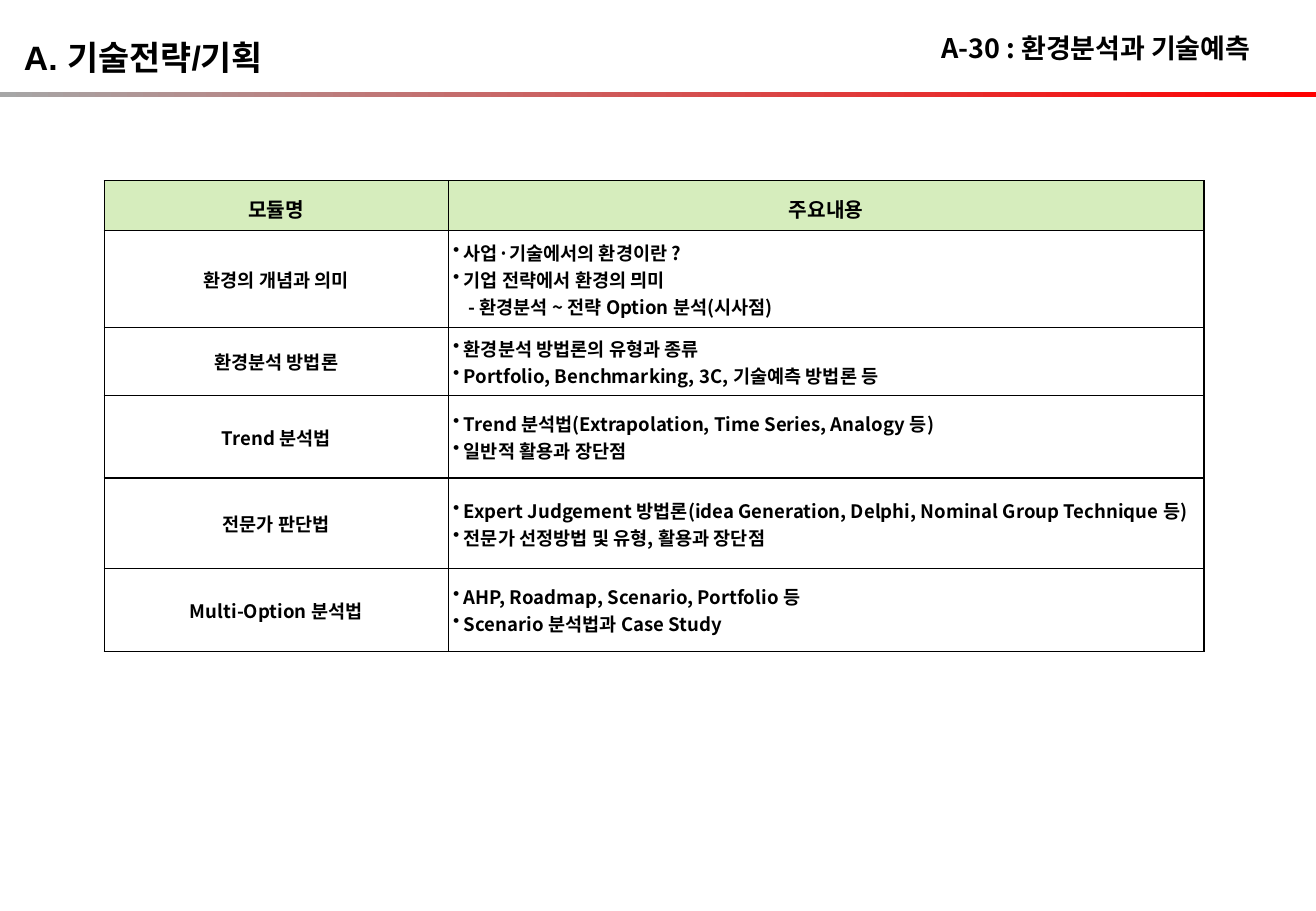
from lxml import etree
from pptx import Presentation
from pptx import util as u
from pptx.dml.color import RGBColor
from pptx.enum import shapes, text
from pptx.oxml.ns import qn

HUES = {"ink": "000000", "paper": "FFFFFF", "head": "D6EDBD",
        "gray": "A6A6A6", "red": "FF0000"}
KOREAN = "Noto Sans CJK KR"
LEFT, MID, RIGHT = (text.PP_ALIGN.LEFT, text.PP_ALIGN.CENTER,
                    text.PP_ALIGN.RIGHT)
SUB = "- "  # marks an indented line without a bullet
HEADS = ["모듈명", "주요내용"]
MODULES = [
    ("환경의 개념과 의미", [
        "사업·기술에서의 환경이란 ?",
        "기업 전략에서 환경의 믜미",
        "- 환경분석 ~ 전략 Option 분석(시사점)"]),
    ("환경분석 방법론", [
        "환경분석 방법론의 유형과 종류",
        "Portfolio, Benchmarking, 3C, 기술예측 방법론 등"]),
    ("Trend 분석법", [
        "Trend 분석법(Extrapolation, Time Series, Analogy 등)",
        "일반적 활용과 장단점"]),
    ("전문가 판단법", [
        "Expert Judgement 방법론(idea Generation, Delphi, "
        "Nominal Group Technique 등)",
        "전문가 선정방법 및 유형, 활용과 장단점"]),
    ("Multi-Option 분석법", [
        "AHP, Roadmap, Scenario, Portfolio 등",
        "Scenario 분석법과 Case Study"]),
]
COLS = [7.19, 15.8]
ROWS = [1.04, 2.03, 1.42, 1.73, 1.47, 1.73]


def rgb(name):
    return RGBColor.from_string(HUES[name])


def write(frame, lines, size=11, font=KOREAN, align=LEFT, space=None,
          bullet=False):
    for i, line in enumerate(lines):
        para = frame.paragraphs[0] if i == 0 else frame.add_paragraph()
        para.alignment = align
        if space:
            para.line_spacing = space
        if bullet:
            props = para._p.get_or_add_pPr()
            props.set("indent", "0")
            if line.startswith(SUB):
                props.set("marL", str(u.Cm(0.32)))
                etree.SubElement(props, qn("a:buNone"))
            else:
                props.set("marL", "0")
                etree.SubElement(props, qn("a:buChar"), char="•")
                line = " " + line
        run = para.add_run()
        run.text = line
        run.font.size = u.Pt(size)
        run.font.bold = True
        run.font.color.rgb = rgb("ink")
        run.font.name = font
        etree.SubElement(run._r.get_or_add_rPr(), qn("a:ea"),
                         typeface=KOREAN)


def frame_cell(cell):
    """Draw a thin line on all four sides of a cell."""
    props = cell._tc.get_or_add_tcPr()
    for i, side in enumerate("LRTB"):
        line = etree.Element(qn("a:ln" + side), w=str(u.Pt(1)))
        fill = etree.SubElement(line, qn("a:solidFill"))
        etree.SubElement(fill, qn("a:srgbClr"), val=HUES["ink"])
        props.insert(i, line)


class Deck:
    def __init__(self, wide, high):
        self.show = Presentation()
        self.show.slide_width = u.Cm(wide)
        self.show.slide_height = u.Cm(high)
        self.slide = self.show.slides.add_slide(self.show.slide_layouts[6])

    def bar(self, x, y, w, h):
        rule = self.slide.shapes.add_shape(
            shapes.MSO_SHAPE.RECTANGLE, u.Cm(x), u.Cm(y), u.Cm(w), u.Cm(h))
        rule.shadow.inherit = False
        rule.line.fill.background()
        rule.fill.gradient()
        rule.fill.gradient_angle = 0
        for stop, hue in zip(rule.fill.gradient_stops, ["gray", "red"]):
            stop.color.rgb = rgb(hue)

    def label(self, x, y, w, h, line, wrap=False, inset=0.25, **style):
        frame = self.slide.shapes.add_textbox(
            u.Cm(x), u.Cm(y), u.Cm(w), u.Cm(h)).text_frame
        frame.word_wrap = wrap
        frame.margin_right = u.Cm(inset)
        frame.vertical_anchor = text.MSO_ANCHOR.MIDDLE
        write(frame, [line], **style)

    def table(self, x, y):
        grid = self.slide.shapes.add_table(
            len(ROWS), len(COLS), u.Cm(x), u.Cm(y),
            u.Cm(sum(COLS)), u.Cm(sum(ROWS))).table
        for col, wide in zip(grid.columns, COLS):
            col.width = u.Cm(wide)
        for row, high in zip(grid.rows, ROWS):
            row.height = u.Cm(high)
        for c, head in enumerate(HEADS):
            self.cell(grid.cell(0, c), [head], "head", size=12,
                      align=MID, space=1.2)
        for r, (name, points) in enumerate(MODULES, 1):
            for c, lines in enumerate([[name], points]):
                cell = grid.cell(r, c)
                cell.margin_left = cell.margin_right = u.Cm(0.1)
                cell.margin_top = cell.margin_bottom = u.Cm(0.1)
                self.cell(cell, lines, "paper", bullet=c == 1,
                          align=LEFT if c else MID)

    def cell(self, cell, lines, hue, **style):
        cell.vertical_anchor = text.MSO_ANCHOR.MIDDLE
        cell.fill.solid()
        cell.fill.fore_color.rgb = rgb(hue)
        frame_cell(cell)
        write(cell.text_frame, lines, **style)


def main():
    deck = Deck(27.51, 19.05)
    deck.bar(0, 1.93, 27.51, 0.1)
    deck.table(2.18, 3.78)
    deck.label(19.3, 0.53, 7.7, 0.94, "A-30 : 환경분석과 기술예측",
               wrap=True, inset=0.86, size=16, align=RIGHT)
    deck.label(0.25, 0.64, 6.25, 1.12, "A. 기술전략/기획",
               size=20, font="Arial")
    deck.show.save("out.pptx")


if __name__ == "__main__":
    main()
